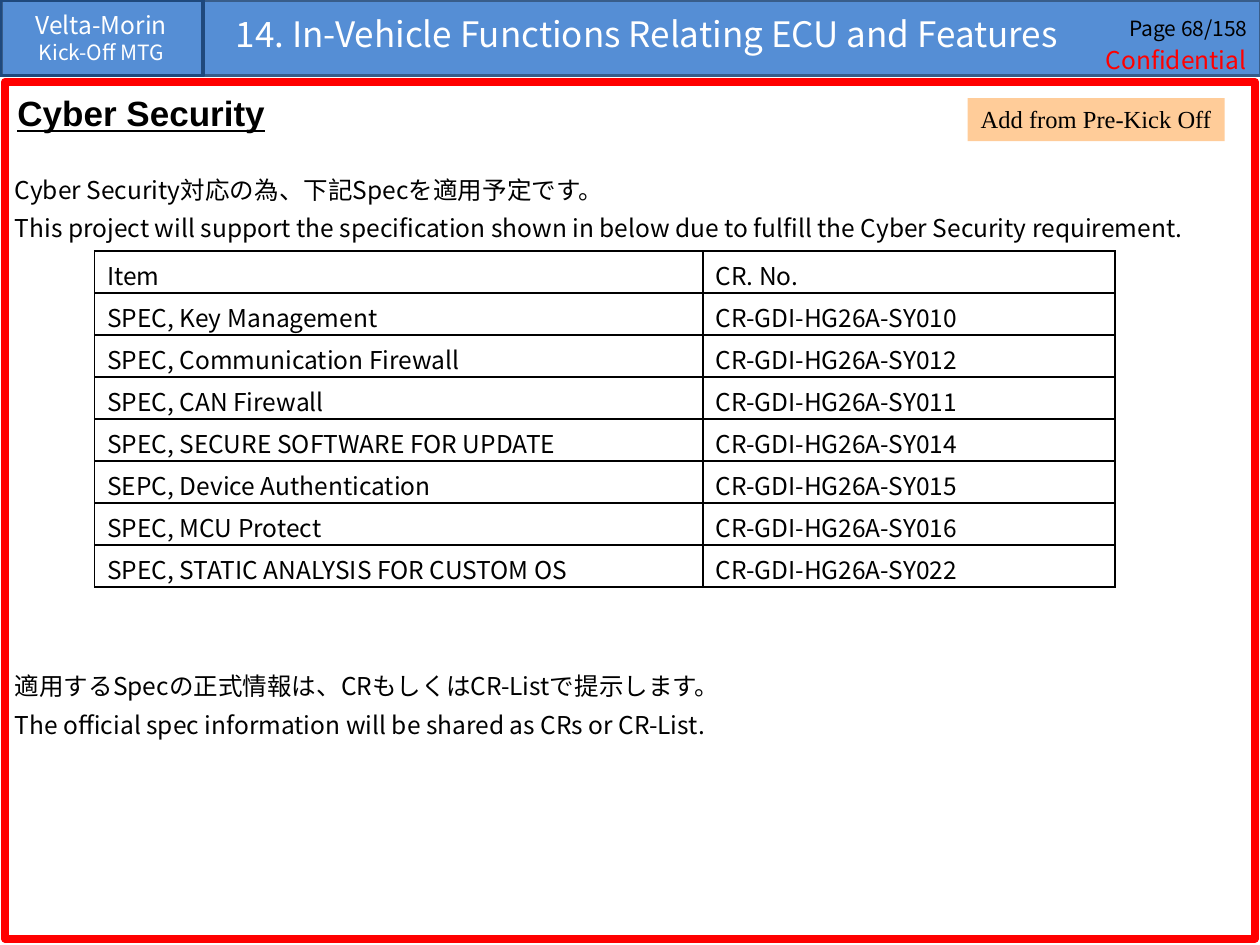
from lxml import etree
from pptx import Presentation
from pptx import util as u
from pptx.dml.color import RGBColor
from pptx.enum import shapes, text
from pptx.oxml import ns

COLUMNS, ROWS = 100, 75
SLIDE_WIDTH, SLIDE_HEIGHT = u.Inches(10), u.Inches(7.5)

BLACK = RGBColor(0x00, 0x00, 0x00)
WHITE = RGBColor(0xFF, 0xFF, 0xFF)
RED = RGBColor(0xFF, 0x00, 0x00)
BANNER_BLUE = RGBColor(0x55, 0x8E, 0xD5)
BANNER_EDGE = RGBColor(0x38, 0x5D, 0x8A)
NAVY = RGBColor(0x1F, 0x49, 0x7D)
PEACH = RGBColor(0xFF, 0xCC, 0x99)

SANS = "Noto Sans CJK JP"
LEFT, CENTER, RIGHT = text.PP_ALIGN.LEFT, text.PP_ALIGN.CENTER, text.PP_ALIGN.RIGHT
TOP, MIDDLE = text.MSO_ANCHOR.TOP, text.MSO_ANCHOR.MIDDLE

SPECIFICATIONS = [
    ("Item", "CR. No."),
    ("SPEC, Key Management", "CR-GDI-HG26A-SY010"),
    ("SPEC, Communication Firewall", "CR-GDI-HG26A-SY012"),
    ("SPEC, CAN Firewall", "CR-GDI-HG26A-SY011"),
    ("SPEC, SECURE SOFTWARE FOR UPDATE", "CR-GDI-HG26A-SY014"),
    ("SEPC, Device Authentication", "CR-GDI-HG26A-SY015"),
    ("SPEC, MCU Protect", "CR-GDI-HG26A-SY016"),
    ("SPEC, STATIC ANALYSIS FOR CUSTOM OS", "CR-GDI-HG26A-SY022"),
]


def across(columns):
    return round(SLIDE_WIDTH * columns / COLUMNS)


def down(rows):
    return round(SLIDE_HEIGHT * rows / ROWS)


def place(left, top, width, height):
    return across(left), down(top), across(width), down(height)


def style_paragraph(paragraph, size, color=BLACK, face=SANS, align=LEFT, spacing=None):
    paragraph.alignment = align
    if spacing:
        paragraph.line_spacing = spacing
    font = paragraph.font
    font.size, font.name = u.Pt(size), face
    font.color.rgb = color
    properties = paragraph._p.pPr.find(ns.qn("a:defRPr"))
    etree.SubElement(properties, ns.qn("a:ea"), typeface=face)


def write_lines(shape, lines, sizes, anchor=TOP, wrap=True, **style):
    frame = shape.text_frame
    frame.word_wrap = wrap
    frame.vertical_anchor = anchor
    frame.text = "\n".join(lines)
    for paragraph, size in zip(frame.paragraphs, sizes):
        style_paragraph(paragraph, size, **style)


def add_label(slide, area, lines, size, **style):
    box = slide.shapes.add_textbox(*place(*area))
    write_lines(box, lines, [size] * len(lines), **style)
    return box


def add_box(slide, area, fill=None, line=None, weight=2):
    shape = slide.shapes.add_shape(shapes.MSO_SHAPE.RECTANGLE, *place(*area))
    shape.shadow.inherit = False
    if fill is None:
        shape.fill.background()
    else:
        shape.fill.solid()
        shape.fill.fore_color.rgb = fill
    if line is None:
        shape.line.fill.background()
    else:
        shape.line.color.rgb = line
        shape.line.width = u.Pt(weight)
    return shape


def add_borders(cell):
    properties = cell._tc.get_or_add_tcPr()
    for position, side in enumerate(("lnL", "lnR", "lnT", "lnB")):
        border = etree.Element(ns.qn(f"a:{side}"), w=str(u.Pt(1)))
        fill = etree.SubElement(border, ns.qn("a:solidFill"))
        etree.SubElement(fill, ns.qn("a:srgbClr"), val=str(BLACK))
        properties.insert(position, border)


def add_specification_table(slide, area, widths):
    table = slide.shapes.add_table(len(SPECIFICATIONS), len(widths), *place(*area)).table
    for column, width in zip(table.columns, widths):
        column.width = across(width)
    for row, values in zip(table.rows, SPECIFICATIONS):
        for cell, value in zip(row.cells, values):
            cell.fill.background()
            cell.margin_bottom = 0
            cell.text = value
            style_paragraph(cell.text_frame.paragraphs[0], 14)
            add_borders(cell)


def add_header(slide):
    add_box(slide, (0.1, 0, 100, 6), BANNER_BLUE, BANNER_EDGE)
    meeting = add_box(slide, (0, 0, 16.1, 6), line=NAVY)
    write_lines(meeting, ["Velta-Morin", "Kick-Off MTG"], [14, 12],
                anchor=MIDDLE, color=WHITE, align=CENTER)
    add_label(slide, (85.6, 0.2, 14.4, 4), ["Page 68/158"], 12, anchor=MIDDLE, align=RIGHT)
    add_label(slide, (86.7, 3, 13.3, 3.4), ["Confidential"], 14,
              anchor=MIDDLE, wrap=False, color=RED, align=CENTER)
    add_label(slide, (2.7, 0.5, 97.3, 4.4),
              ["14. In-Vehicle Functions Relating ECU and Features"], 20,
              color=WHITE, align=CENTER)


def add_content(slide):
    heading = add_label(slide, (0.4, 5.8, 21.8, 4.9), ["Cyber Security"], 20,
                        wrap=False, face="Arial", spacing=1.3)
    font = heading.text_frame.paragraphs[0].font
    font.bold = font.underline = True
    add_label(slide, (0.2, 12.7, 99.6, 7), [
        "Cyber Security対応の為、下記Specを適用予定です。",
        "This project will support the specification shown in below due to fulfill "
        "the Cyber Security requirement.",
    ], 14, spacing=1.3)
    add_specification_table(slide, (7.5, 19.9, 81, 26.7), (48.3, 32.7))
    add_label(slide, (0.2, 52.1, 99.6, 7), [
        "適用するSpecの正式情報は、CRもしくはCR-Listで提示します。",
        "The official spec information will be shared as CRs or CR-List.",
    ], 14, spacing=1.3)
    add_box(slide, (0.4, 6.5, 99.2, 68), line=RED, weight=4.5)
    note = add_box(slide, (76.8, 7.8, 20.4, 3.4), PEACH)
    write_lines(note, ["Add from Pre-Kick Off"], [14], wrap=False,
                face="Times New Roman", align=CENTER)


def main():
    presentation = Presentation()
    presentation.slide_width, presentation.slide_height = SLIDE_WIDTH, SLIDE_HEIGHT
    slide = presentation.slides.add_slide(presentation.slide_layouts[6])
    add_header(slide)
    add_content(slide)
    presentation.save("out.pptx")


if __name__ == "__main__":
    main()
